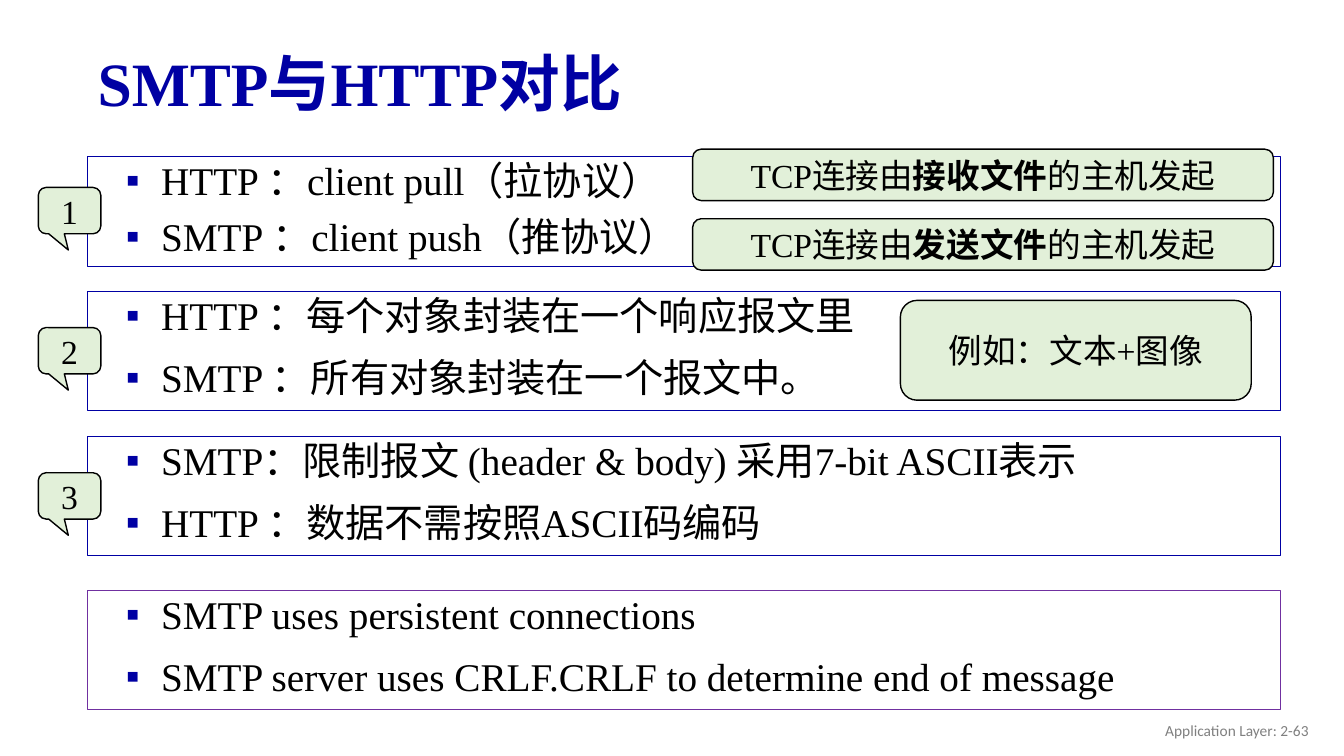
"""Builds a slide that compares SMTP with HTTP."""
from pptx import Presentation
from pptx.dml.color import RGBColor
from pptx.enum.shapes import MSO_SHAPE
from pptx.enum.text import MSO_ANCHOR, PP_ALIGN
from pptx.oxml import parse_xml
from pptx.util import Inches, Pt

NAVY, PURPLE, GREEN, BLACK, GREY = "0000A3", "7030A0", "E2F0D9", "000000", "808080"
SERIF, SANS = "Times New Roman", "Calibri"
NS = 'xmlns:a="http://schemas.openxmlformats.org/drawingml/2006/main"'
BULLET = [
    f'<a:buClr {NS}><a:srgbClr val="{NAVY}"/></a:buClr>',
    f'<a:buFont {NS} typeface="Arial"/>',
    f'<a:buChar {NS} char="▪"/>',
]


def style(font, size, color, name=SERIF):
    font.size, font.name = Pt(size), name
    font.color.rgb = RGBColor.from_string(color)


def draw(kind, spot, line, width, fill=None):
    shape = slide.shapes.add_shape(kind, *map(Inches, spot))
    shape.shadow.inherit = False
    shape.line.color.rgb = RGBColor.from_string(line)
    shape.line.width = Pt(width)
    if fill:
        shape.fill.solid()
        shape.fill.fore_color.rgb = RGBColor.from_string(fill)
    else:
        shape.fill.background()
    return shape


deck = Presentation()
deck.slide_width, deck.slide_height = Inches(13.33), Inches(7.5)
slide = deck.slides.add_slide(deck.slide_layouts[6])

labels = [
    ("SMTP与HTTP对比", (0.87, 0.32, 11.5, 0.98), 44, NAVY, SERIF, PP_ALIGN.LEFT),
    ("Application Layer: 2-63", (10.08, 7.05, 3, 0.4), 11, GREY, SANS, PP_ALIGN.RIGHT),
]
for text, spot, size, color, name, align in labels:
    frame = slide.shapes.add_textbox(*map(Inches, spot)).text_frame
    frame.word_wrap = True
    frame.vertical_anchor = MSO_ANCHOR.MIDDLE
    para = frame.paragraphs[0]
    para.text, para.alignment = text, align
    style(para.font, size, color, name)
    para.font.bold = name == SERIF

panels = [
    (1.55, 1.09, NAVY, 10, ["HTTP| ：|client pull（拉协议）", "SMTP| ：|client push（推协议）"]),
    (2.89, 1.18, NAVY, 14, ["HTTP ：每个对象封装在一个响应报文里", "SMTP ：所有对象封装在一个报文中。"]),
    (4.33, 1.18, NAVY, 14, ["SMTP：限制报文 (header & body) 采用7-bit ASCII表示",
                            "HTTP ：数据不需按照ASCII码编码"]),
    (5.86, 1.18, PURPLE, 14, ["SMTP uses persistent connections",
                              "SMTP server uses CRLF.CRLF to determine end of message"]),
]
for top, height, color, gap, lines in panels:
    frame = draw(MSO_SHAPE.RECTANGLE, (0.87, top, 11.83, height), color, 0.75).text_frame
    frame.word_wrap = True
    frame.vertical_anchor = MSO_ANCHOR.TOP
    for row, text in enumerate(lines):
        para = frame.add_paragraph() if row else frame.paragraphs[0]
        props = para._p.get_or_add_pPr()
        props.set("marL", str(Inches(0.63)))
        props.set("indent", str(Inches(-0.35)))
        for part in BULLET:
            props.append(parse_xml(part))
        para.alignment, para.line_spacing = PP_ALIGN.LEFT, 0.9
        para.space_before = Pt(gap if row else 0)
        for col, piece in enumerate(text.split("|")):
            run = para.add_run()
            run.text = piece
            style(run.font, 28, BLACK, SANS if col == 1 else SERIF)

ROUND, CALL = MSO_SHAPE.ROUNDED_RECTANGLE, MSO_SHAPE.ROUNDED_RECTANGULAR_CALLOUT
notes = [
    (ROUND, (6.87, 1.48, 5.76, 0.51), "TCP连接由|接收文件|的主机发起"),
    (ROUND, (6.87, 2.17, 5.76, 0.51), "TCP连接由|发送文件|的主机发起"),
    (ROUND, (8.93, 2.98, 3.48, 0.99), "例如：文本+图像"),
]
for mark, top in enumerate((1.86, 3.25, 4.69), 1):
    notes.append((CALL, (0.38, top, 0.62, 0.46), str(mark)))
for kind, spot, text in notes:
    note = draw(kind, spot, BLACK, 1, GREEN)
    if kind == CALL:
        for slot, value in enumerate((-0.02, 0.85, 0.17)):
            note.adjustments[slot] = value
    frame = note.text_frame
    frame.word_wrap = True
    frame.vertical_anchor = MSO_ANCHOR.MIDDLE
    para = frame.paragraphs[0]
    para.alignment = PP_ALIGN.CENTER
    for col, piece in enumerate(text.split("|")):
        run = para.add_run()
        run.text = piece
        run.font.bold = col == 1
        style(run.font, 24, BLACK)

deck.save("out.pptx")
